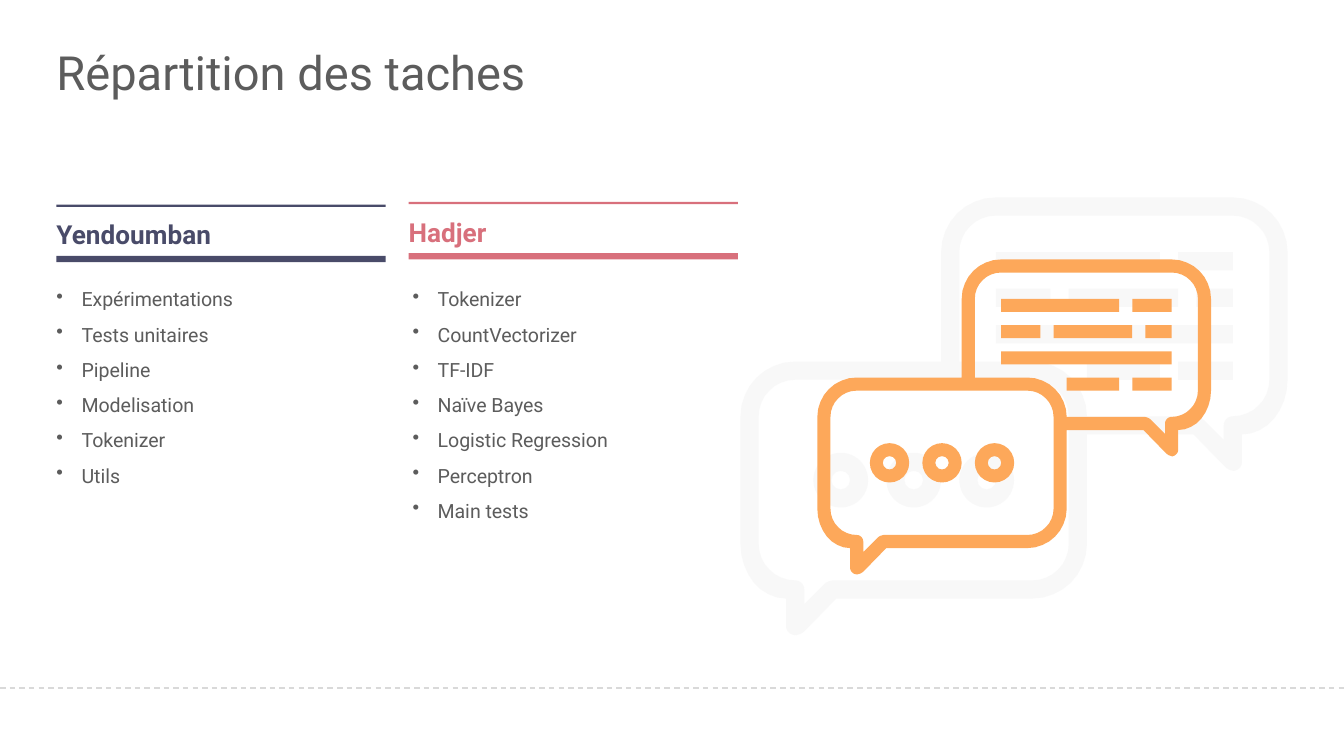
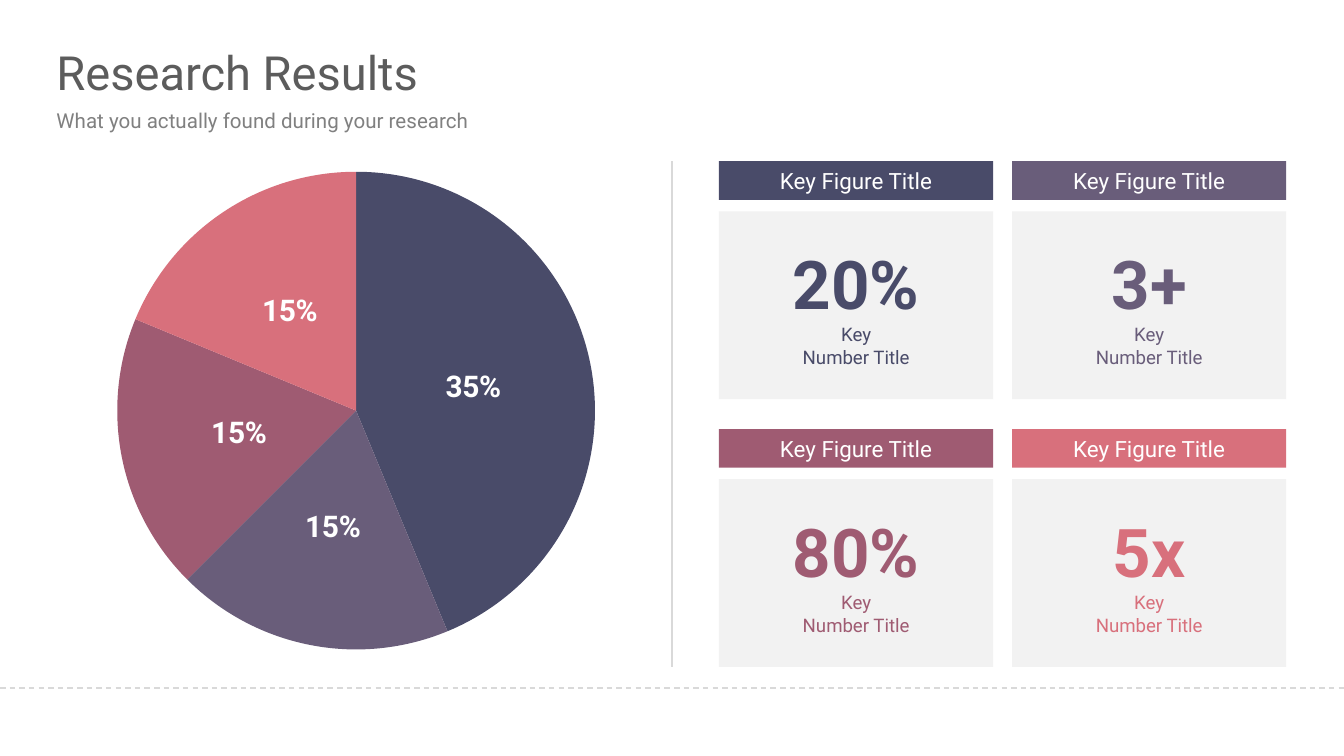
"""Build two slides: the split of tasks and the research results."""
from lxml.etree import SubElement
from pptx import Presentation
from pptx.chart.data import CategoryChartData
from pptx.dml.color import RGBColor
from pptx.enum.chart import XL_CHART_TYPE, XL_LABEL_POSITION
from pptx.enum.dml import MSO_LINE
from pptx.enum.shapes import MSO_CONNECTOR, MSO_SHAPE
from pptx.enum.text import MSO_ANCHOR, MSO_AUTO_SIZE, PP_ALIGN
from pptx.oxml.ns import qn
from pptx.util import Pt

FONT = "Roboto"
NAVY, PLUM, WINE, ROSE = HUES = ["494B69", "695D7A", "9F5B72", "D8707C"]
ORANGE, GRAY, MUTED, RULE, PALE, WHITE = "FDA85A", "5C5C5C", "808080", "D9D9D9", "F2F2F2", "FFFFFF"
LEFT, WIDE = 30.24, 658.8


def paint(fill, color, alpha=None):
    fill.solid()
    fill.fore_color.rgb = RGBColor.from_string(color)
    if alpha:
        tint = fill._xPr.find(f".//{qn('a:srgbClr')}")
        SubElement(tint, qn("a:alpha"), val=str(alpha * 1000))


def write(shape, text, size, color, bold=False, align=PP_ALIGN.LEFT,
          anchor=MSO_ANCHOR.MIDDLE, space=None, after=None, bullet=False):
    frame = shape.text_frame
    frame.word_wrap = True
    frame.auto_size = MSO_AUTO_SIZE.NONE
    frame.vertical_anchor = anchor
    frame.margin_left = frame.margin_top = frame.margin_right = frame.margin_bottom = 0
    for line in text.split("\n"):
        para = frame.add_paragraph() if frame.text else frame.paragraphs[0]
        para.alignment = align
        if space:
            para.line_spacing = space
        if after:
            para.space_after = Pt(after)
        if bullet:
            props = para._p.get_or_add_pPr()
            props.set("marL", str(Pt(13.5)))
            props.set("indent", str(Pt(-13.5)))
            SubElement(props, qn("a:buChar"), char="•")
        run = para.add_run()
        run.text = line
        run.font.name, run.font.size, run.font.bold = FONT, Pt(size), bold
        paint(run.font.fill, color)


deck = Presentation()
deck.slide_width, deck.slide_height = Pt(720), Pt(405)
tasks, results = [deck.slides.add_slide(deck.slide_layouts[5]) for _ in range(2)]

for slide, title in [(tasks, "Répartition des taches"), (results, "Research Results")]:
    head = slide.shapes.title
    head.left, head.top, head.width, head.height = Pt(LEFT), Pt(22.3), Pt(WIDE), Pt(32.4)
    write(head, title, 25.2, GRAY)
    band = slide.shapes.add_shape(MSO_SHAPE.RECTANGLE, 0, Pt(369.2), Pt(720), Pt(35.8))
    band.shadow.inherit = False
    band.line.fill.background()
    paint(band.fill, WHITE)

for slide, x1, y1, x2, y2, dash in [
    (tasks, 0, 368.6, 720, 368.6, MSO_LINE.DASH),
    (results, 0, 368.6, 720, 368.6, MSO_LINE.DASH),
    (results, 360, 86.4, 360, 357.1, None),
]:
    rule = slide.shapes.add_connector(MSO_CONNECTOR.STRAIGHT, Pt(x1), Pt(y1), Pt(x2), Pt(y2))
    SubElement(rule._element.spPr, qn("a:effectLst"))
    rule.line.width = Pt(0.75)
    rule.line.dash_style = dash
    paint(rule.line.fill, RULE)

OUTER = [(11, 0, 3), (30, 0, 3), (30, 13, 3), (27.5, 13, 0), (27.5, 15, 0.5), (26.8, 15, 0.3),
         (24.85, 13, 0), (19, 13, 0), (19, 22, 3), (5.25, 22, 0), (3.3, 24, 0.3),
         (2.5, 24, 0.5), (2.5, 22, 0), (0, 22, 3), (0, 9, 3), (11, 9, 0)]
FRONT = [(18, 10, 2), (18, 21, 2), (4.8, 21, 0.3), (3.5, 22.3, 0), (3.5, 21, 0.5),
         (1, 21, 2), (1, 10, 2)]
BACK = [(29, 1, 2), (29, 12, 2), (26.5, 12, 0.5), (26.5, 13.3, 0), (25.2, 12, 0.3),
        (19, 12, 0), (19, 9, 3), (12, 9, 0), (12, 1, 2)]
BARS = [(14, 3, 9), (24, 3, 3), (14, 5, 3), (18, 5, 6), (25, 5, 2),
        (14, 7, 13), (19, 9, 4), (24, 9, 3)]

loops = []
for path in (OUTER, FRONT, BACK):
    curve = []
    for i, (x, y, r) in enumerate(path):
        ends = []
        for px, py, _ in (path[i - 1], path[(i + 1) % len(path)]):
            gap = ((px - x) ** 2 + (py - y) ** 2) ** 0.5
            part = min(r / gap, 1)
            ends.append(((px - x) * part, (py - y) * part))
        (ax, ay), (bx, by) = ends
        for k in range(9 if r else 1):
            t = k / 8
            a = (1 - t) ** 3 + 1.35 * t * (1 - t) ** 2
            b = t ** 3 + 1.35 * t ** 2 * (1 - t)
            curve.append((100 * (x + a * ax + b * bx), 100 * (y + a * ay + b * by)))
    loops.append(curve)

for x, y, unit, color, alpha in [(396.7, 105.8, 9.77, PALE, 50), (437.9, 139, 7.03, ORANGE, None)]:
    pen = tasks.shapes.build_freeform(*loops[0][0], scale=Pt(unit) / 100)
    for n, curve in enumerate(loops):
        if n:
            pen.move_to(*curve[0])
        pen.add_line_segments(curve[1:], close=True)
    parts = [pen.convert_to_shape(Pt(x), Pt(y))]
    for col in (4, 8, 12):
        ring = tasks.shapes.add_shape(MSO_SHAPE.DONUT, Pt(x + col * unit), Pt(y + 14 * unit),
                                      Pt(3 * unit), Pt(3 * unit))
        ring.adjustments[0] = 0.33
        parts.append(ring)
    for col, row, span in BARS:
        parts.append(tasks.shapes.add_shape(MSO_SHAPE.RECTANGLE, Pt(x + col * unit),
                                            Pt(y + row * unit), Pt(span * unit), Pt(unit)))
    for part in parts:
        part.shadow.inherit = False
        part.line.fill.background()
        paint(part.fill, color, alpha)

for name, color, x, y, indent, items in [
    ("Yendoumban", NAVY, LEFT, 109.6, 0,
     "Expérimentations\nTests unitaires\nPipeline\nModelisation\nTokenizer\nUtils"),
    ("Hadjer", ROSE, 218.9, 108.1, 2.1,
     "Tokenizer\nCountVectorizer\nTF-IDF\nNaïve Bayes\nLogistic Regression\nPerceptron\nMain tests"),
]:
    for top, high in [(y, 1.3), (y + 27.5, 3.4)]:
        bar = tasks.shapes.add_shape(MSO_SHAPE.RECTANGLE, Pt(x), Pt(top), Pt(176.4), Pt(high))
        bar.shadow.inherit = False
        bar.line.fill.background()
        paint(bar.fill, color)
    label = tasks.shapes.add_textbox(Pt(x), Pt(y + 5), Pt(176.4), Pt(18.7))
    write(label, name, 14, color, bold=True, space=1.2, after=10)
    tall = 18.8 * len(items.split("\n"))
    block = tasks.shapes.add_textbox(Pt(x + indent), Pt(147.6), Pt(176.4), Pt(tall))
    write(block, items, 10.5, GRAY, anchor=MSO_ANCHOR.TOP, space=1.5, bullet=True)

note = results.shapes.add_textbox(Pt(LEFT), Pt(57.6), Pt(WIDE), Pt(13.7))
write(note, "What you actually found during your research", 11, MUTED)

data = CategoryChartData(number_format="0%")
data.categories = ["1", "2", "3", "4"]
data.add_series("Series 1", (0.35, 0.15, 0.15, 0.15))
chart = results.shapes.add_chart(XL_CHART_TYPE.PIE, Pt(LEFT), Pt(82.1), Pt(321.1), Pt(275.8), data).chart
chart.has_legend = chart.has_title = False
chart.font.name, chart.font.size = FONT, Pt(10)
paint(chart.font.fill, "262626")
pie = chart.plots[0]
pie.vary_by_categories = True
pie.has_data_labels = True
tags = pie.data_labels
tags.show_value, tags.show_percentage = True, False
tags.number_format, tags.number_format_is_linked = "0%", False
tags.position = XL_LABEL_POSITION.CENTER
tags.font.name, tags.font.size, tags.font.bold = FONT, Pt(16), True
paint(tags.font.fill, WHITE)
for n, color in enumerate(HUES):
    paint(pie.series[0].points[n].format.fill, color)

for n, (color, figure) in enumerate(zip(HUES, ["20%", "3+", "80%", "5x"])):
    x, y = 385.2 + n % 2 * 157, 86.4 + n // 2 * 143.5
    cap, card = [results.shapes.add_shape(MSO_SHAPE.RECTANGLE, Pt(x), Pt(top), Pt(146.9), Pt(high))
                 for top, high in [(y, 20.7), (y + 26.8, 100.6)]]
    for box, back in [(cap, color), (card, PALE)]:
        box.shadow.inherit = False
        box.line.fill.background()
        paint(box.fill, back)
    write(cap, "Key Figure Title", 12, WHITE, align=PP_ALIGN.CENTER)
    write(card, figure, 36, color, bold=True, align=PP_ALIGN.CENTER)
    write(card, "Key\nNumber Title", 10, color, align=PP_ALIGN.CENTER)

deck.save("out.pptx")
